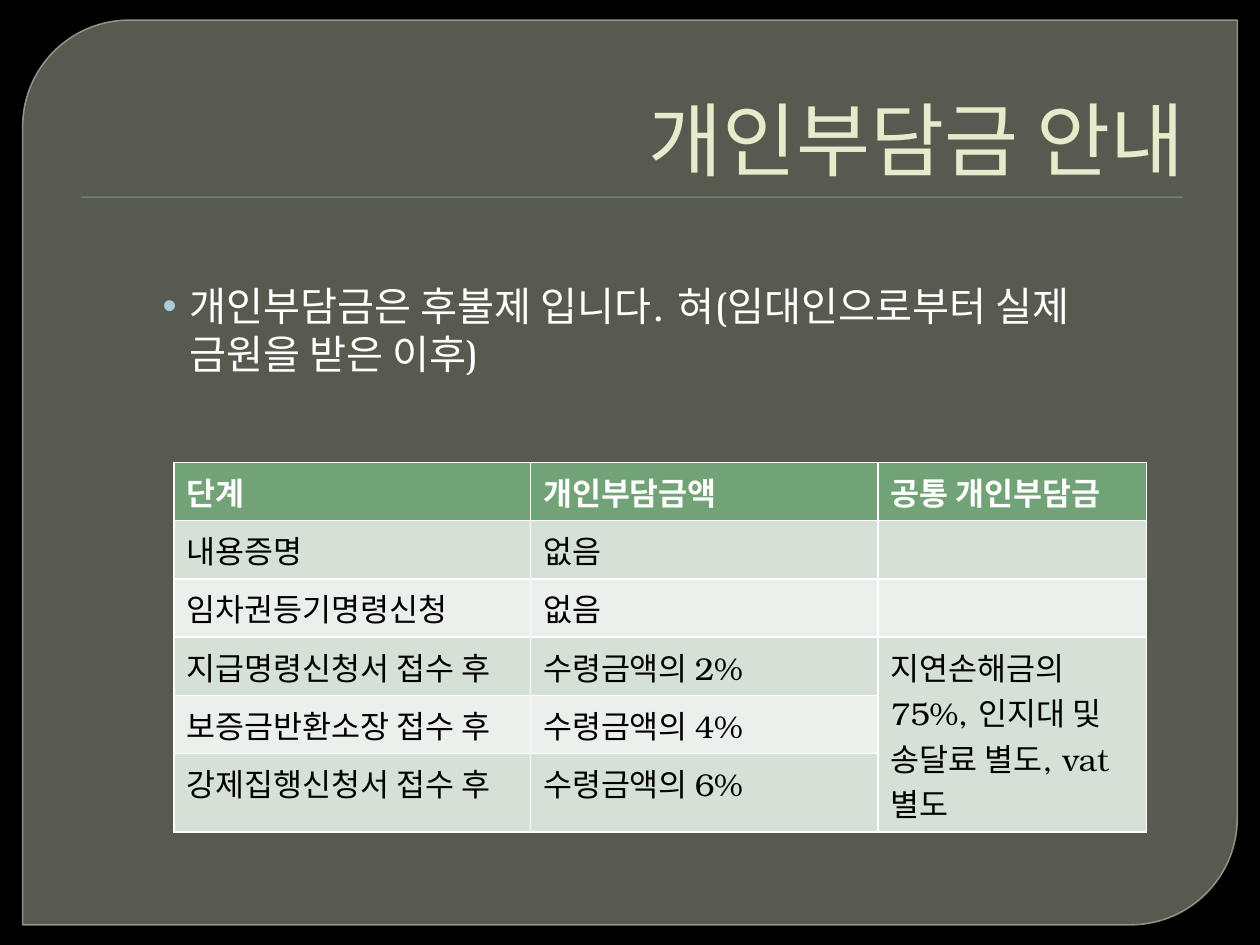
from lxml.etree import SubElement
from pptx import Presentation
from pptx.dml.color import RGBColor as RGB
from pptx.enum.shapes import MSO_SHAPE as Shape
from pptx.enum.text import MSO_ANCHOR as Anchor, MSO_AUTO_SIZE as Fit, PP_ALIGN as Align
from pptx.oxml.ns import qn
from pptx.util import Inches, Pt

TITLE = "개인부담금 안내"
NOTE = "개인부담금은 후불제 입니다. 혀(임대인으로부터 실제 금원을 받은 이후)"
ROWS = [
    ("단계", "개인부담금액", "공통 개인부담금"),
    ("내용증명", "없음", ""),
    ("임차권등기명령신청", "없음", ""),
    ("지급명령신청서 접수 후", "수령금액의 2%", "지연손해금의 75%, 인지대 및 송달료 별도, vat별도"),
    ("보증금반환소장 접수 후", "수령금액의 4%", ""),
    ("강제집행신청서 접수 후", "수령금액의 6%", ""),
]
COLS = (2.83, 2.76, 2.13)
ROW_H = 0.46
SPAN = ((3, 2), (5, 2))  # cells merged in the last column

THEME = {
    "font": "TeX Gyre Bonum",
    "back": "000000", "panel": "888B7B", "edge": "9DA090", "rule": "72A376",
    "bullet": "A8CDD7", "bands": ("EBF0EC", "D5E0D6"),
    "title": {"size": 46, "color": "E7EACB", "bold": False},
    "body": {"size": 23, "color": "FFFFFF", "bold": False},
    "head": {"size": 18, "color": "FFFFFF", "bold": True},
    "cell": {"size": 18, "color": "000000", "bold": False},
}


def paint(fill, color):
    fill.solid()
    fill.fore_color.rgb = RGB.from_string(color)


def fade(fill, pct):
    """Set the opacity of a solid fill element's colour."""
    SubElement(fill.find(".//" + qn("a:srgbClr")), qn("a:alpha"), val=str(pct * 1000))


def write(frame, text, style):
    para = frame.paragraphs[0]
    run = para.add_run()
    run.text = text
    look = {"name": THEME["font"], "size": Pt(style["size"]), "bold": style["bold"]}
    for key, val in look.items():
        setattr(run.font, key, val)
    run.font.color.rgb = RGB.from_string(style["color"])
    return para


def place(shape, box, **form):
    for key, val in zip(("left", "top", "width", "height"), box):
        setattr(shape, key, Inches(val))
    frame = shape.text_frame
    for key, val in {"word_wrap": True, "auto_size": Fit.NONE, **form}.items():
        setattr(frame, key, val)
    return frame


def add_back(slide):
    """Draw the panel and the rule behind the placeholders."""
    paint(slide.background.fill, THEME["back"])
    add = slide.shapes.add_shape
    panel = add(Shape.ROUND_2_DIAG_RECTANGLE, *map(Inches, (0.18, 0.16, 9.64, 7.18)))
    panel.adjustments[0], panel.adjustments[1] = 0.118, 0
    paint(panel.fill, THEME["panel"])
    paint(panel.line.fill, THEME["edge"])
    panel.line.width = Pt(0.87)
    props = panel.element.spPr
    fade(props.find(qn("a:solidFill")), 65)
    fade(props.find(qn("a:ln")), 88)
    rule = add(Shape.RECTANGLE, *map(Inches, (0.64, 1.56, 8.75, 0.01)))
    paint(rule.fill, THEME["rule"])
    rule.line.fill.background()
    for spot, shape in enumerate((panel, rule), 2):
        shape.shadow.inherit = False
        slide.shapes.element.insert(spot, shape.element)


def add_text(slide):
    frame = place(slide.shapes.title, (0.5, 0.28, 9, 1.25), vertical_anchor=Anchor.BOTTOM)
    write(frame, TITLE, THEME["title"]).alignment = Align.RIGHT
    frame = place(slide.placeholders[1], (0.5, 1.8, 9, 4.95),
                  vertical_anchor=Anchor.TOP, margin_top=Inches(0.43))
    para = write(frame, NOTE, THEME["body"])
    para.level, para.space_before = 2, Pt(4)
    props = para._p.get_or_add_pPr()
    props.set("marL", str(Inches(0.9)))
    props.set("indent", str(Inches(-0.21)))
    SubElement(SubElement(props, qn("a:buClr")), qn("a:srgbClr"), val=THEME["bullet"])
    SubElement(props, qn("a:buChar"), char="•")


def add_fees(slide):
    size = (sum(COLS), ROW_H * len(ROWS))
    table = slide.shapes.add_table(
        len(ROWS), len(COLS), *map(Inches, (1.38, 3.67, *size))).table
    for col, wide in zip(table.columns, COLS):
        col.width = Inches(wide)
    for r, row in enumerate(ROWS):
        table.rows[r].height = Inches(ROW_H)
        for c, text in enumerate(row):
            cell = table.cell(r, c)
            paint(cell.fill, THEME["bands"][r % 2] if r else THEME["rule"])
            if text:
                write(cell.text_frame, text, THEME["cell" if r else "head"])
    first, last = SPAN
    table.cell(*first).merge(table.cell(*last))


def main():
    deck = Presentation()
    deck.slide_width, deck.slide_height = Inches(10), Inches(7.5)
    slide = deck.slides.add_slide(deck.slide_layouts[1])
    add_back(slide)
    add_text(slide)
    add_fees(slide)
    deck.save("out.pptx")


if __name__ == "__main__":
    main()
